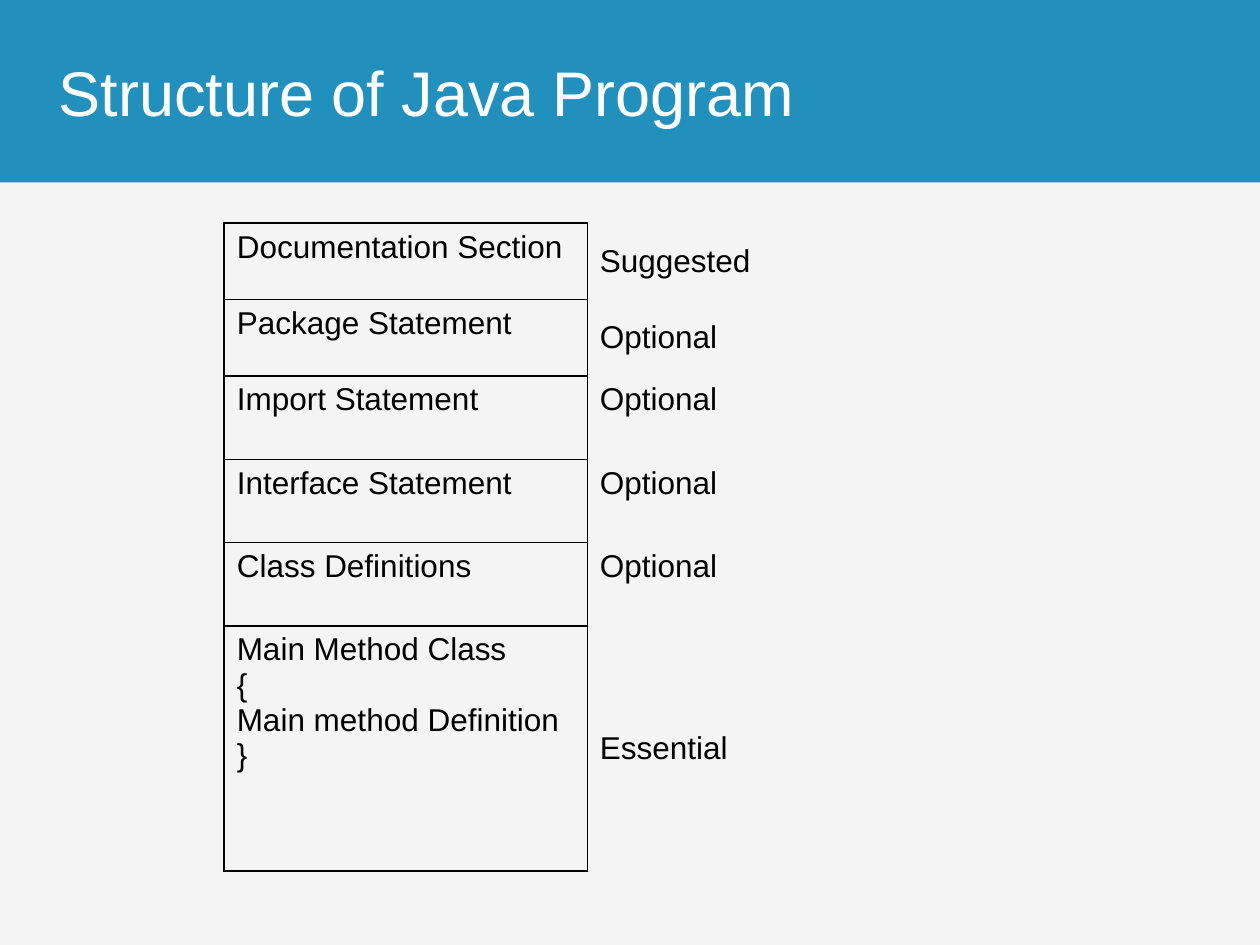
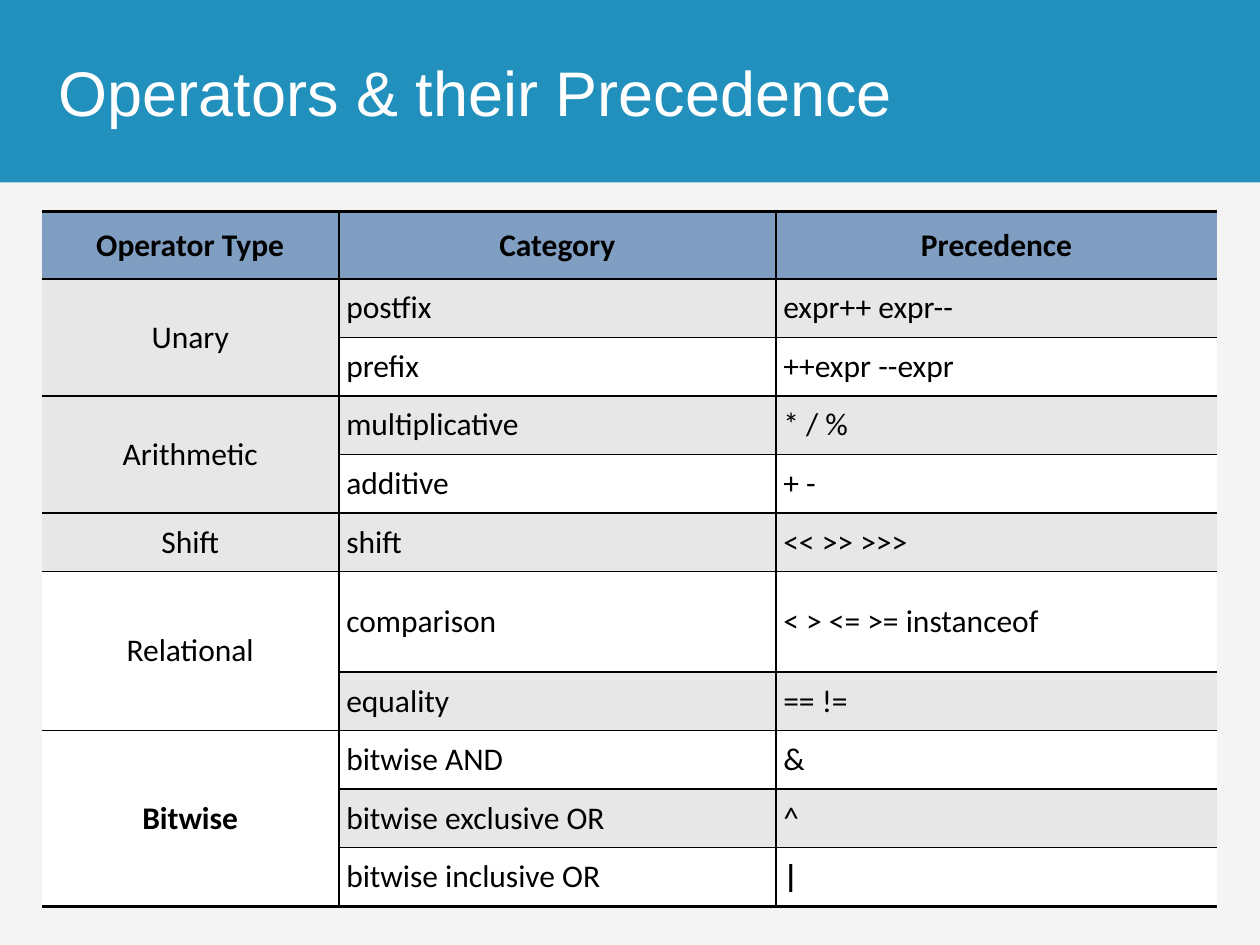
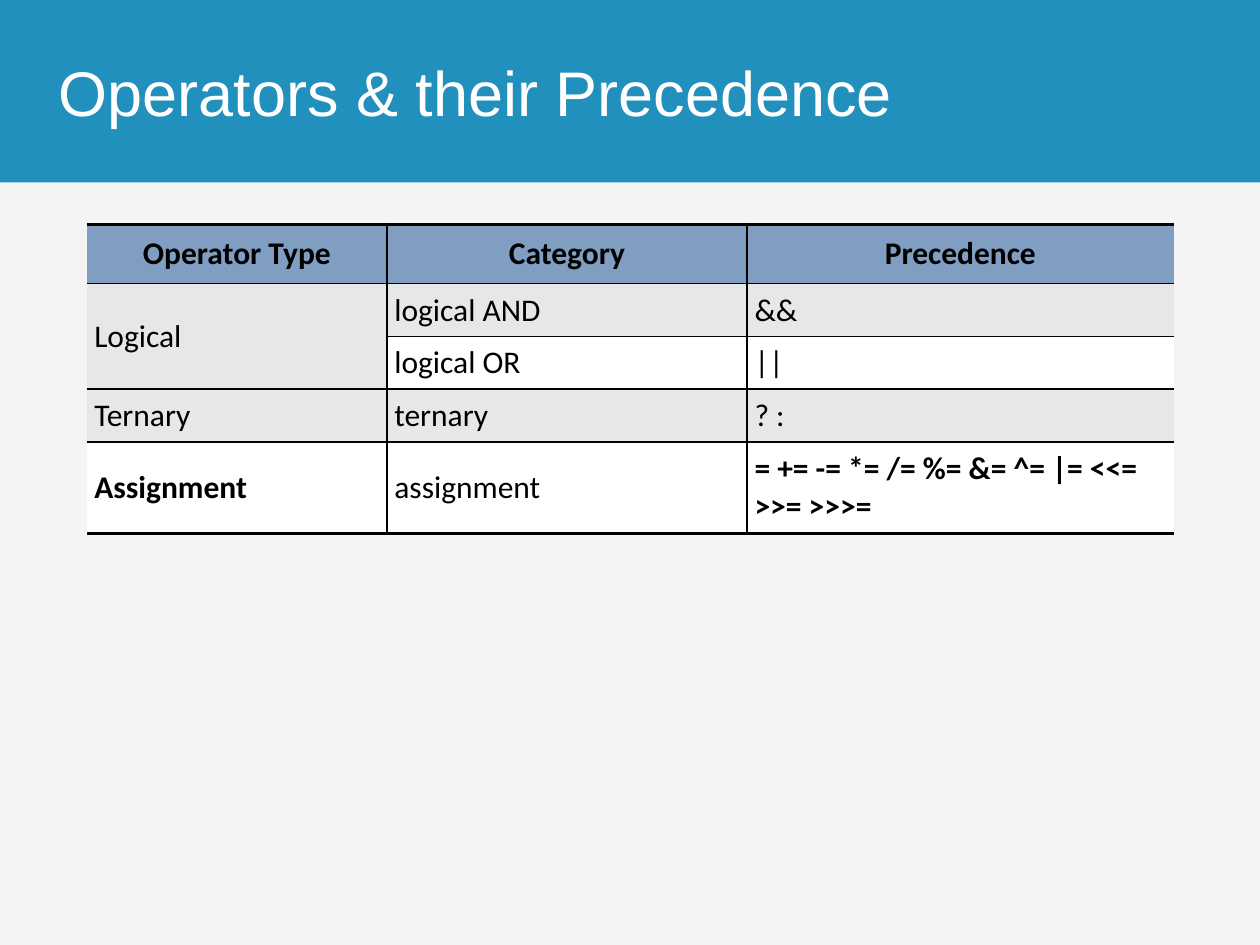
"""Build three slides on Java program structure and operator precedence."""
from dataclasses import dataclass

from lxml import etree
from pptx import Presentation
from pptx.dml.color import RGBColor
from pptx.enum.shapes import MSO_SHAPE
from pptx.enum.text import MSO_ANCHOR, PP_ALIGN
from pptx.oxml.ns import qn
from pptx.util import Cm, Pt

RECT = MSO_SHAPE.RECTANGLE
TOP, MIDDLE = MSO_ANCHOR.TOP, MSO_ANCHOR.MIDDLE
LEFT, CENTER = PP_ALIGN.LEFT, PP_ALIGN.CENTER
NO_STYLE = "{2D5ABB26-0587-4C30-8999-92F81FD0307C}"


@dataclass(frozen=True)
class Theme:
    page: str = "F4F4F5"
    band: str = "2190BC"
    title: str = "FFFFFF"
    text: str = "000000"
    header: str = "809EC2"
    stripes: tuple = ("E7E7E7", "FFFFFF")
    title_font: str = "Arial"
    table_font: str = "Calibri"
    title_size: int = 36
    body_size: int = 18
    thin: int = 1
    thick: int = 2


theme = Theme()


def add_table_slide(title, left, top, widths, heights):
    s = prs.slides.add_slide(prs.slide_layouts[6])
    band = s.shapes.add_shape(RECT, 0, 0, prs.slide_width, Cm(3.68))
    band.shadow.inherit = False
    band.fill.solid()
    band.fill.fore_color.rgb = RGBColor.from_string(theme.band)
    band.line.fill.background()

    tf = s.shapes.add_textbox(Cm(0.94), 0, Cm(21.89), Cm(3.68)).text_frame
    tf.word_wrap = True
    tf.vertical_anchor = MIDDLE
    p = tf.paragraphs[0]
    p.text = title
    p.font.name = theme.title_font
    p.font.size = Pt(theme.title_size)
    p.font.color.rgb = RGBColor.from_string(theme.title)

    table = s.shapes.add_table(len(heights), len(widths), Cm(left), Cm(top),
                               Cm(sum(widths)), Cm(sum(heights))).table
    table.first_row = table.horz_banding = False
    table._tbl.tblPr.find(qn("a:tableStyleId")).text = NO_STYLE
    for column, width in zip(table.columns, widths):
        column.width = Cm(width)
    for row, height in zip(table.rows, heights):
        row.height = Cm(height)
    return table


def format_cell(cell, text, font, edges, fill=None, anchor=MIDDLE,
                align=LEFT, inset=None, bold=False):
    tcPr = cell._tc.get_or_add_tcPr()
    for side, width in zip("LRTB", edges):
        ln = etree.SubElement(tcPr, qn(f"a:ln{side}"), w=str(Pt(width)))
        if width:
            color = etree.SubElement(ln, qn("a:solidFill"))
            etree.SubElement(color, qn("a:srgbClr"), val=theme.text)
        else:
            etree.SubElement(ln, qn("a:noFill"))
    if fill:
        cell.fill.solid()
        cell.fill.fore_color.rgb = RGBColor.from_string(fill)
    else:
        cell.fill.background()
    cell.vertical_anchor = anchor
    if inset:
        cell.margin_left = cell.margin_right = Cm(inset)
        cell.margin_top = cell.margin_bottom = Cm(inset)
    cell.text = text
    for p in cell.text_frame.paragraphs:
        p.alignment = align
        p.font.name = font
        p.font.size = Pt(theme.body_size)
        p.font.bold = bold
        p.font.color.rgb = RGBColor.from_string(theme.text)


prs = Presentation()
prs.slide_width, prs.slide_height = Cm(25.4), Cm(19.05)
background = prs.slide_master.background.fill
background.solid()
background.fore_color.rgb = RGBColor.from_string(theme.page)

sections = [
    ("Documentation Section", "Suggested", MIDDLE, 1.54),
    ("Package Statement", "Optional", MIDDLE, 1.54),
    ("Import Statement", "Optional", TOP, 1.68),
    ("Interface Statement", "Optional", TOP, 1.68),
    ("Class Definitions", "Optional", TOP, 1.68),
    ("Main Method Class\n{\nMain method Definition\n}", "Essential", MIDDLE, 4.94),
]
table = add_table_slide("Structure of Java Program", 4.52, 4.5, [7.32, 4.95],
                        [height for *_, height in sections])
for i, (section, need, anchor, _) in enumerate(sections):
    format_cell(table.cell(i, 0), section, theme.title_font,
                [theme.thin] * 4, anchor=TOP)
    format_cell(table.cell(i, 1), need, theme.title_font,
                [theme.thin, 0, 0, 0], anchor=anchor)

header = ("Operator Type", "Category", "Precedence")
operator_tables = [
    (0.84, 4.27, [5.99, 8.81, 8.9],
     [1.35] + [1.18] * 5 + [2.03] + [1.18] * 4, CENTER, [
         ("Unary", [("postfix", "expr++ expr--"), ("prefix", "++expr --expr")]),
         ("Arithmetic", [("multiplicative", "* / %"), ("additive", "+ -")]),
         ("Shift", [("shift", "<< >> >>>")]),
         ("Relational", [("comparison", "< > <= >= instanceof"),
                         ("equality", "== !=")]),
         ("Bitwise", [("bitwise AND", "&"), ("bitwise exclusive OR", "^"),
                      ("bitwise inclusive OR", "|")]),
     ]),
    (1.75, 4.52, [6.05, 7.26, 8.6], [1.2] + [1.06] * 3 + [1.84], LEFT, [
        ("Logical", [("logical AND", "&&"), ("logical OR", "||")]),
        ("Ternary", [("ternary", "? :")]),
        ("Assignment", [("assignment", "= += -= *= /= %= &= ^= |= <<= >>= >>>=")]),
    ]),
]
for left, top, widths, heights, type_align, groups in operator_tables:
    table = add_table_slide("Operators & their Precedence", left, top,
                            widths, heights)
    rows = [header]
    last_type_row = 0
    for name, operators in groups:
        last_type_row = len(rows)
        for i, (category, symbols) in enumerate(operators):
            rows.append(("" if i else name, category, symbols))
        if len(operators) > 1:
            table.cell(last_type_row, 0).merge(table.cell(len(rows) - 1, 0))
    last = len(rows) - 1
    for i, row in enumerate(rows):
        for j, text in enumerate(row):
            at_bottom = i == last or (j == 0 and i >= last_type_row)
            edges = [theme.thin if j > 0 else 0,
                     theme.thin if j < 2 else 0,
                     theme.thin if i else theme.thick,
                     theme.thick if at_bottom else theme.thin]
            format_cell(
                table.cell(i, j), text, theme.table_font, edges,
                fill=theme.stripes[(i - 1) % 2] if i else theme.header,
                align=CENTER if i == 0 else type_align if j == 0 else LEFT,
                inset=0.15 if i else 0.21,
                bold=i == 0 or (at_bottom and j != 1))

prs.save("out.pptx")
